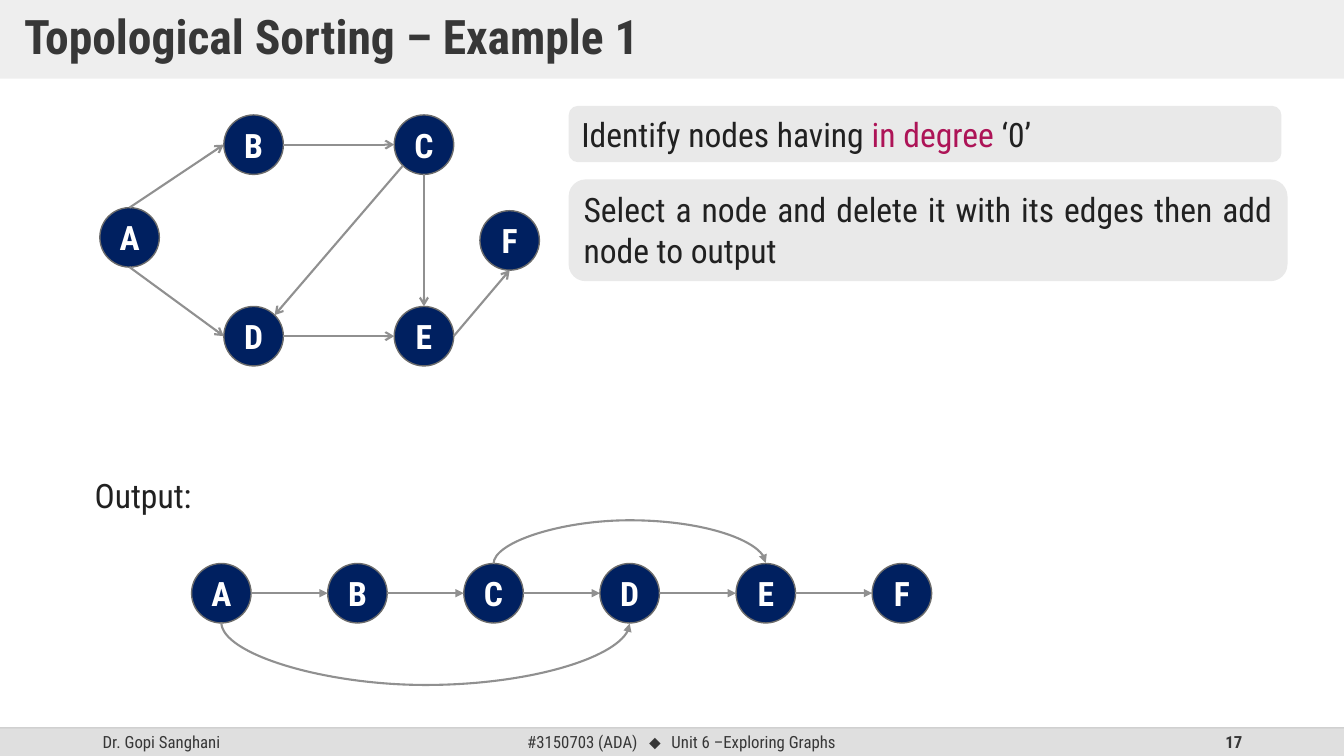
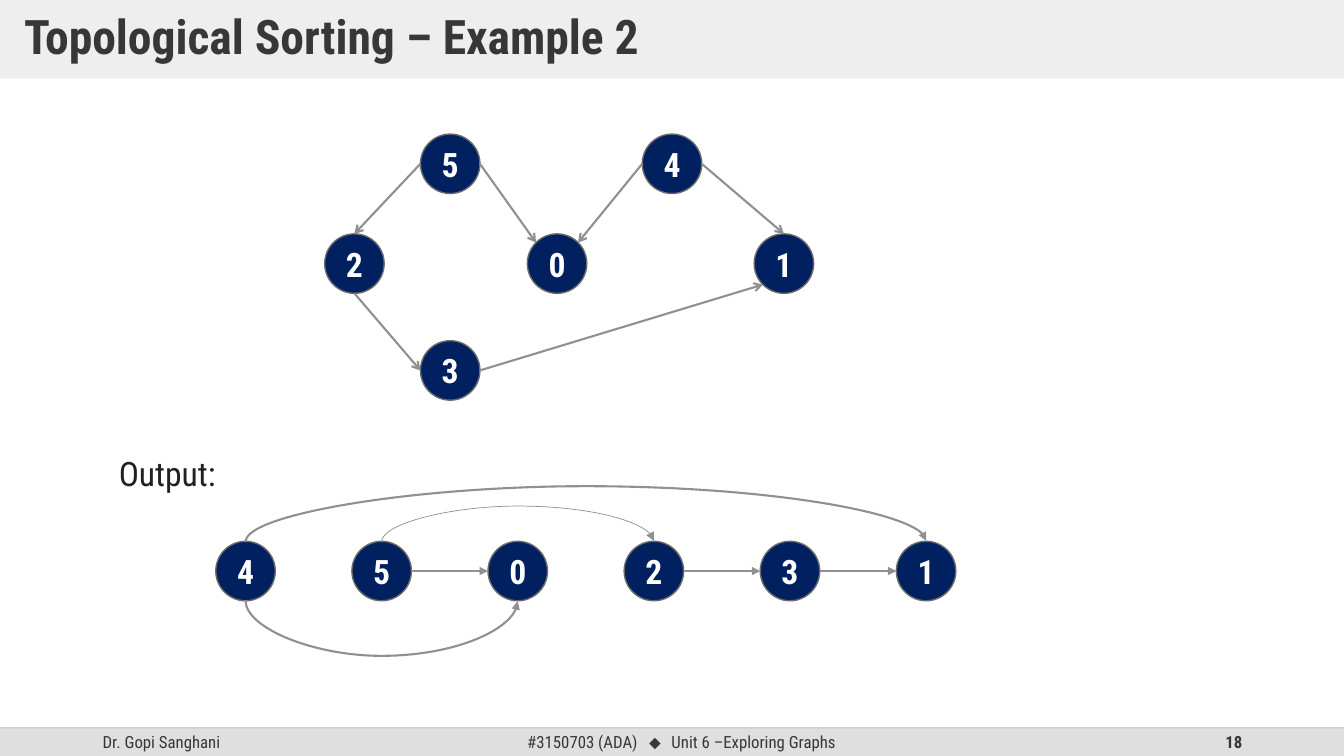
from dataclasses import dataclass
from enum import IntEnum
from math import cos, radians, sin

from lxml.etree import SubElement
from pptx import Presentation
from pptx.dml.color import RGBColor
from pptx.enum.shapes import MSO_CONNECTOR as Link, MSO_SHAPE as Preset
from pptx.enum.text import MSO_ANCHOR as Anchor, PP_ALIGN as Align
from pptx.oxml.ns import qn
from pptx.util import Inches, Pt


@dataclass(frozen=True)
class Theme:
    """Colours, fonts, type sizes and measures shared by the slides."""
    band: str = "DFDFDF"
    rule: str = "BFBFBF"
    heading: str = "373737"
    body: str = "212121"
    accent: str = "AD1457"
    card: str = "E9E9E9"
    node: str = "002060"
    node_outline: str = "6B6B6B"
    node_text: str = "FFFFFF"
    edge: str = "909090"
    font: str = "Roboto Condensed"
    symbol_font: str = "Arial"
    title_size: int = 34
    body_size: int = 24
    footer_size: int = 12
    width: float = 13.33
    height: float = 7.5
    title_height: float = 0.78
    footer_height: float = 0.28
    node_size: float = 0.59
    pitch: float = 1.35


THEME = Theme()


class Site(IntEnum):
    """Connection sites of an ellipse, counter-clockwise from the top."""
    TOP = 0
    TOP_LEFT = 1
    LEFT = 2
    BOTTOM_LEFT = 3
    BOTTOM = 4
    BOTTOM_RIGHT = 5
    RIGHT = 6
    TOP_RIGHT = 7


def set_alpha(fill_parent, percent):
    """Make the solid fill below an element partly transparent."""
    colour = next(fill_parent.iter(qn("a:srgbClr")))
    SubElement(colour, qn("a:alpha")).set("val", str(percent * 1000))


def write(shape, *runs, size=THEME.body_size, colour=THEME.body, bold=False,
          align=Align.LEFT, anchor=Anchor.TOP, insets=(0.1, 0.05), line_spacing=None):
    """Write runs, each a text or a (text, overrides) pair, into one paragraph."""
    frame = shape.text_frame
    frame.word_wrap = True
    frame.vertical_anchor = anchor
    frame.margin_left = frame.margin_right = Inches(insets[0])
    frame.margin_top = frame.margin_bottom = Inches(insets[1])
    paragraph = frame.paragraphs[0]
    paragraph.alignment = align
    paragraph.line_spacing = line_spacing
    for item in runs:
        text, overrides = (item, {}) if isinstance(item, str) else item
        run = paragraph.add_run()
        run.text = text
        run.font.size = Pt(size)
        run.font.bold = bold
        run.font.name = overrides.get("font", THEME.font)
        run.font.color.rgb = RGBColor.from_string(overrides.get("colour", colour))
        if "spacing" in overrides:
            run.font._element.set("spc", str(overrides["spacing"]))


def add_box(slide, preset, left, top, width, height, fill, outline=None):
    """Add a flat filled shape with an optional thin outline."""
    shape = slide.shapes.add_shape(
        preset, Inches(left), Inches(top), Inches(width), Inches(height))
    shape.shadow.inherit = False
    shape.fill.solid()
    shape.fill.fore_color.rgb = RGBColor.from_string(fill)
    if outline:
        shape.line.color.rgb = RGBColor.from_string(outline)
        shape.line.width = Pt(1)
    else:
        shape.line.fill.background()
    return shape


def add_label(slide, left, top, width, height, *runs, **style):
    """Add a text box."""
    box = slide.shapes.add_textbox(
        Inches(left), Inches(top), Inches(width), Inches(height))
    write(box, *runs, **style)


def style_line(connector, colour, weight, arrow=None):
    """Give a connector its colour, weight and arrowhead, without a shadow."""
    connector.line.color.rgb = RGBColor.from_string(colour)
    connector.line.width = Pt(weight)
    properties = connector.element.spPr
    if arrow:
        SubElement(properties.find(qn("a:ln")), qn("a:tailEnd")).set("type", arrow)
    SubElement(properties, qn("a:effectLst"))


def add_frame(slide, title, number):
    """Draw the title band and the footer band."""
    heading = add_box(slide, Preset.RECTANGLE, 0, 0, THEME.width,
                      THEME.title_height, THEME.band)
    set_alpha(heading.element.spPr, 50)
    write(heading, title, size=THEME.title_size, colour=THEME.heading, bold=True,
          anchor=Anchor.MIDDLE, insets=(0.24, 0.12), line_spacing=0.9)
    top = THEME.height - THEME.footer_height
    add_box(slide, Preset.RECTANGLE, 0, top, THEME.width, THEME.footer_height, THEME.band)
    separator = (" ⬥", {"font": THEME.symbol_font, "spacing": 480})
    for left, width, align, bold, runs in (
        (0.92, 3, Align.LEFT, False, ("Dr. Gopi Sanghani",)),
        (4.42, 4.68, Align.CENTER, False,
         ("#3150703 (ADA)", separator, " Unit 6 –Exploring Graphs")),
        (9.42, 3, Align.RIGHT, True, (str(number),)),
    ):
        add_label(slide, left, top, width, THEME.footer_height, *runs,
                  size=THEME.footer_size, colour=THEME.heading, bold=bold,
                  align=align, anchor=Anchor.MIDDLE)
    rule = slide.shapes.add_connector(
        Link.STRAIGHT, 0, Inches(top), Inches(THEME.width), Inches(top))
    style_line(rule, THEME.rule, 1)
    set_alpha(rule.element.spPr, 70)


def add_node(slide, left, top, name):
    """Draw one round graph node."""
    node = add_box(slide, Preset.OVAL, left, top, THEME.node_size, THEME.node_size,
                   THEME.node, THEME.node_outline)
    write(node, name, colour=THEME.node_text, bold=True, align=Align.CENTER,
          anchor=Anchor.MIDDLE, insets=(0, 0))
    return node


def site_point(node, site):
    """Return the place of a connection site on a node."""
    angle = radians(90 + 45 * site)
    radius = node.width / 2
    return (round(node.left + radius * (1 + cos(angle))),
            round(node.top + radius * (1 - sin(angle))))


def join(connector, start, start_site, end, end_site):
    """Attach both ends of a connector to sites on round nodes."""
    properties = next(connector.element.iter(qn("p:cNvCxnSpPr")))
    for tag, node, site in (("a:stCxn", start, start_site), ("a:endCxn", end, end_site)):
        link = SubElement(properties, qn(tag))
        link.set("id", str(node.shape_id))
        link.set("idx", str(int(site)))


def add_edge(slide, start, start_site, end, end_site, arrow="arrow"):
    """Draw a straight arrow between two nodes."""
    edge = slide.shapes.add_connector(
        Link.STRAIGHT, *site_point(start, start_site), *site_point(end, end_site))
    join(edge, start, start_site, end, end_site)
    style_line(edge, THEME.edge, 1.5, arrow)


def add_arc(slide, start, end, site, depth, weight=1.5):
    """Draw a curved arrow above or below a row of nodes."""
    first, level = site_point(start, site)
    last, _ = site_point(end, site)
    thickness, span = Inches(0.01), last - first
    left, top = (first + last - thickness) // 2, level - span // 2
    arc = slide.shapes.add_connector(
        Link.CURVE, left, top, left + thickness, top + span)
    properties = arc.element.spPr
    transform = properties.find(qn("a:xfrm"))
    transform.set("rot", str((90 if site == Site.TOP else 270) * 60000))
    transform.set("flipH", "1")
    if site == Site.TOP:
        transform.set("flipV", "1")
    guide = SubElement(next(properties.iter(qn("a:avLst"))), qn("a:gd"))
    guide.set("name", "adj1")
    guide.set("fmla", f"val {round(Inches(depth) / thickness * 100000)}")
    join(arc, start, site, end, site)
    style_line(arc, THEME.edge, weight, "triangle")


def add_graph(slide, left, top, places, edges):
    """Draw a graph from node offsets and (start, site, end, site) edges."""
    nodes = {name: add_node(slide, left + across, top + down, name)
             for name, (across, down) in places.items()}
    for start, start_site, end, end_site in edges:
        add_edge(slide, nodes[start], start_site, nodes[end], end_site)


def add_output(slide, left, top, order, links, arcs):
    """Draw the sorted row of nodes with its label, links and arcs."""
    add_label(slide, left - 1.06, top - 0.93, 1.35, 0.5, "Output:")
    nodes = {name: add_node(slide, left + index * THEME.pitch, top, name)
             for index, name in enumerate(order)}
    for start, end in links:
        add_edge(slide, nodes[start], Site.RIGHT, nodes[end], Site.LEFT, "triangle")
    for start, end, *shape in arcs:
        add_arc(slide, nodes[start], nodes[end], *shape)


def add_card(slide, left, top, width, height, *runs):
    """Draw a rounded card with justified text."""
    card = add_box(slide, Preset.ROUNDED_RECTANGLE, left, top, width, height, THEME.card)
    write(card, *runs, align=Align.JUSTIFY)


def build_first_example(slide):
    """Lay out the lettered graph, the two steps and the sorted order."""
    add_frame(slide, "Topological Sorting – Example 1", 17)
    add_graph(
        slide, 0.99, 1.14,
        {"A": (0, 0.92), "B": (1.23, 0), "C": (2.92, 0),
         "D": (1.23, 1.9), "E": (2.92, 1.9), "F": (3.77, 0.95)},
        [("A", Site.TOP, "B", Site.LEFT), ("A", Site.BOTTOM, "D", Site.LEFT),
         ("B", Site.RIGHT, "C", Site.LEFT), ("D", Site.RIGHT, "E", Site.LEFT),
         ("C", Site.BOTTOM, "E", Site.TOP),
         ("C", Site.BOTTOM_LEFT, "D", Site.TOP_RIGHT),
         ("E", Site.RIGHT, "F", Site.BOTTOM)])
    add_card(slide, 5.64, 1.05, 7.07, 0.56, "Identify nodes having ",
             ("in degree ", {"colour": THEME.accent}), "‘0’")
    add_card(slide, 5.64, 1.78, 7.13, 1.01,
             "Select a node and delete it with its edges then add node to output")
    order = "ABCDEF"
    add_output(slide, 1.9, 5.59, order, zip(order, order[1:]),
               [("A", "D", Site.BOTTOM, 0.63), ("C", "E", Site.TOP, 0.44)])


def build_second_example(slide):
    """Lay out the numbered graph and its sorted order."""
    add_frame(slide, "Topological Sorting – Example 2", 18)
    add_graph(
        slide, 3.22, 1.33,
        {"2": (0, 0.99), "5": (0.95, 0), "3": (0.95, 2.05),
         "0": (2.01, 0.99), "4": (3.15, 0), "1": (4.26, 0.99)},
        [("5", Site.LEFT, "2", Site.TOP), ("5", Site.RIGHT, "0", Site.TOP_LEFT),
         ("2", Site.BOTTOM, "3", Site.LEFT), ("3", Site.RIGHT, "1", Site.BOTTOM_LEFT),
         ("4", Site.LEFT, "0", Site.TOP_RIGHT), ("4", Site.RIGHT, "1", Site.TOP)])
    add_output(slide, 2.14, 5.37, "450231", ["50", "23", "31"],
               [("4", "1", Site.TOP, 0.56), ("4", "0", Site.BOTTOM, 0.56),
                ("5", "2", Site.TOP, 0.36, 0.5)])


def main():
    """Build and save the presentation."""
    presentation = Presentation()
    presentation.slide_width = Inches(THEME.width)
    presentation.slide_height = Inches(THEME.height)
    for build in (build_first_example, build_second_example):
        build(presentation.slides.add_slide(presentation.slide_layouts[6]))
    presentation.save("out.pptx")


if __name__ == "__main__":
    main()
